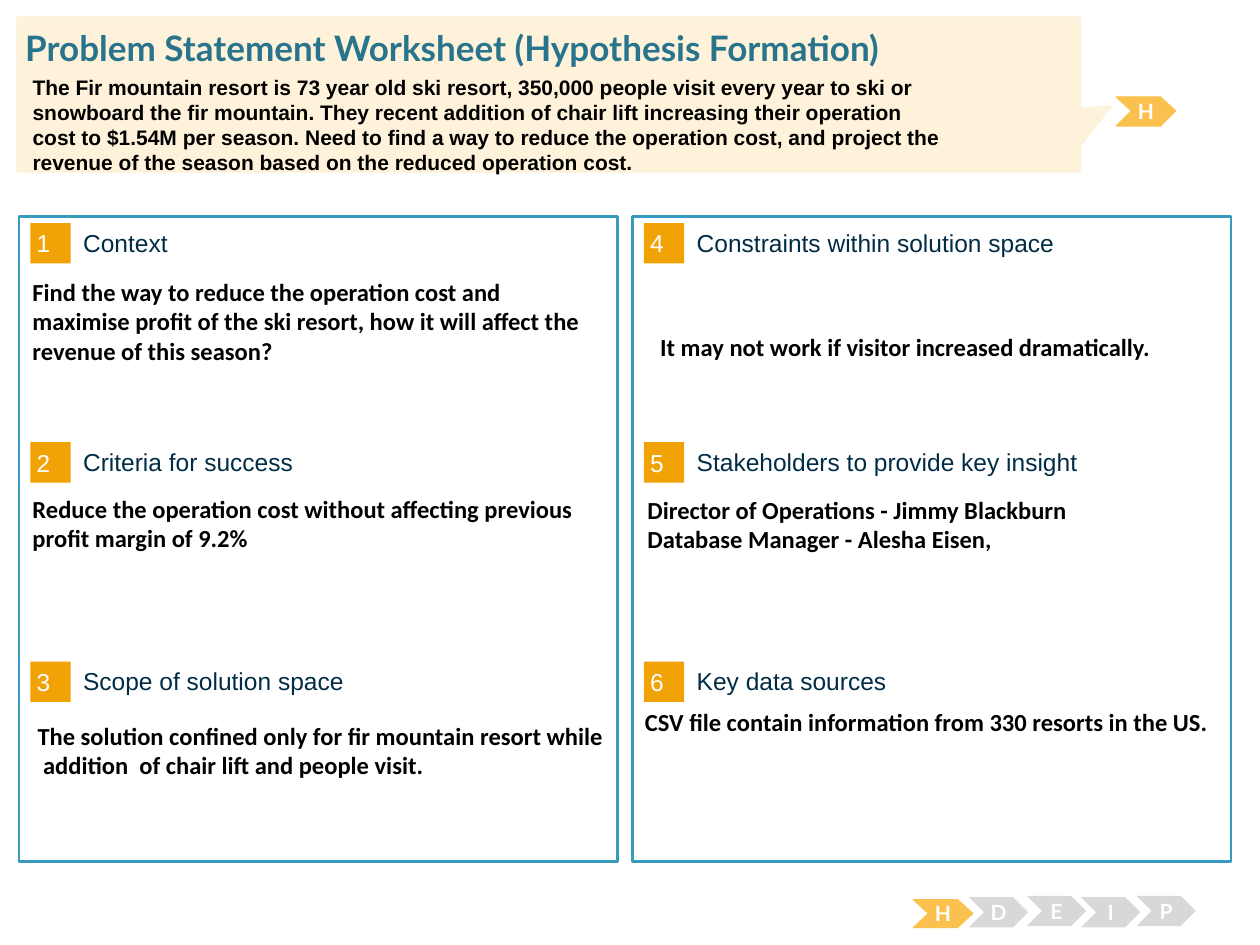
"""Build the problem statement worksheet slide."""
from pptx import Presentation
from pptx.dml.color import RGBColor
from pptx.enum.shapes import MSO_SHAPE
from pptx.enum.text import MSO_ANCHOR, PP_ALIGN
from pptx.util import Pt

PX = 9144
RECTANGLE = MSO_SHAPE.RECTANGLE
CALLOUT = MSO_SHAPE.RECTANGULAR_CALLOUT
TOP, MIDDLE = MSO_ANCHOR.TOP, MSO_ANCHOR.MIDDLE
LEFT, CENTER = PP_ALIGN.LEFT, PP_ALIGN.CENTER

WHITE = RGBColor(0xFF, 0xFF, 0xFF)
BLACK = RGBColor(0x00, 0x00, 0x00)
BLUE = RGBColor(0x37, 0x9B, 0xBD)
TEAL = RGBColor(0x29, 0x74, 0x8D)
NAVY = RGBColor(0x00, 0x2C, 0x46)
ORANGE = RGBColor(0xF1, 0xA2, 0x05)
AMBER = RGBColor(0xFB, 0xC1, 0x4E)
CREAM = RGBColor(0xFE, 0xF2, 0xDA)
GREY = RGBColor(0xD8, 0xD8, 0xD8)

STYLES = {
    "title": {"name": "Lato", "size": Pt(20), "bold": True, "color": TEAL},
    "summary": {"name": "Arial", "size": Pt(12), "bold": True, "color": BLACK},
    "number": {"name": "Arial", "size": Pt(14), "bold": False, "color": WHITE},
    "heading": {"name": "Arial", "size": Pt(14), "bold": False, "color": NAVY},
    "body": {"name": "Calibri", "size": Pt(14), "bold": True, "color": BLACK},
    "step": {"name": "Lato", "size": Pt(12), "bold": True, "color": WHITE},
}

COLUMN_PITCH, ROW_PITCH, ROWS = 487, 174, 3
HEADINGS = [
    "Context", "Criteria for success", "Scope of solution space",
    "Constraints within solution space", "Stakeholders to provide key insight",
    "Key data sources",
]
SUMMARY = [
    "The Fir mountain resort is 73 year old ski resort, 350,000 people visit every year to ski or",
    "snowboard the fir mountain. They recent addition of chair lift increasing their operation",
    "cost to $1.54M per season. Need to find a way to reduce the operation cost, and project the",
    "revenue of the season based on the reduced operation cost.",
]
ANSWERS = [
    ((16, 215, 473, 136), ["Find the way to reduce the operation cost and maximise profit "
                           "of the ski resort, how it will affect the revenue of this season?"]),
    ((16, 387, 473, 154), ["Reduce the operation cost without affecting previous "
                           "profit margin of 9.2%"]),
    ((20, 567, 473, 107), ["The solution confined only for fir mountain resort "
                           "while  addition  of chair lift and people visit."]),
    ((502, 556, 473, 118), ["CSV file contain information from 330 resorts in the US."]),
    ((504, 388, 473, 118), ["Director of Operations - Jimmy Blackburn",
                            "Database Manager - Alesha Eisen,"]),
]
STEPS = [("H", 725, 714, 22, AMBER), ("D", 769, 712, 24, GREY), ("E", 815, 711, 24, GREY),
         ("I", 858, 712, 24, GREY), ("P", 902, 711, 24, GREY), ("H", 886, 77, 23, AMBER)]


class Worksheet:
    """Hold the text styles and the current page."""

    def __init__(self, page, styles):
        self.page = page
        self.styles = styles

    def label(self, shape, lines, style, anchor=TOP, align=LEFT, insets=(10, 5, 10, 5)):
        """Fill a shape with styled paragraphs."""
        frame = shape.text_frame
        left, top, right, bottom = (inset * PX for inset in insets)
        layout = {"word_wrap": True, "vertical_anchor": anchor, "margin_left": left,
                  "margin_top": top, "margin_right": right, "margin_bottom": bottom}
        for name, value in layout.items():
            setattr(frame, name, value)
        for index, line in enumerate(lines):
            para = frame.add_paragraph() if index else frame.paragraphs[0]
            para.alignment = align
            span = para.add_run()
            span.text = line
            for name, value in self.styles[style].items():
                if name == "color":
                    span.font.color.rgb = value
                else:
                    setattr(span.font, name, value)

    def paint(self, shape, fill, line=None, weight=0.75):
        """Give a shape a flat fill and an optional outline."""
        shape.shadow.inherit = False
        shape.fill.solid()
        shape.fill.fore_color.rgb = fill
        if line is None:
            shape.line.fill.background()
        else:
            shape.line.color.rgb = line
            shape.line.width = Pt(weight)

    def block(self, bounds, fill, line=None, weight=0.75, kind=RECTANGLE):
        """Add a preset shape."""
        shape = self.page.shapes.add_shape(kind, *(value * PX for value in bounds))
        self.paint(shape, fill, line, weight)
        return shape

    def text(self, bounds, lines, style, **layout):
        """Add a text box."""
        box = self.page.shapes.add_textbox(*(value * PX for value in bounds))
        self.label(box, lines, style, **layout)

    def chevron(self, letter, left, top, height, fill):
        """Add a lettered process arrow."""
        width, point = 47, 12
        right, bottom, middle = left + width, top + height, top + height / 2
        builder = self.page.shapes.build_freeform(left, top, scale=PX)
        builder.add_line_segments([
            (right - point, top), (right, middle), (right - point, bottom),
            (left, bottom), (left + point, middle)])
        shape = builder.convert_to_shape()
        self.paint(shape, fill, AMBER if fill == AMBER else None)
        self.label(shape, [letter], "step", anchor=MIDDLE, align=CENTER)


def main():
    """Lay out the page and save the deck."""
    deck = Presentation()
    deck.slide_width, deck.slide_height = 1000 * PX, 750 * PX
    sheet = Worksheet(deck.slides.add_slide(deck.slide_layouts[6]), STYLES)

    for column in range(2):
        sheet.block((15 + column * COLUMN_PITCH, 172, 475, 512), WHITE, BLUE, 1.5)
    for index, heading in enumerate(HEADINGS):
        column, row = divmod(index, ROWS)
        left, top = 24 + column * COLUMN_PITCH, 177 + row * ROW_PITCH
        badge = sheet.block((left, top, 32, 32), ORANGE)
        sheet.label(badge, [str(index + 1)], "number", anchor=MIDDLE, insets=(5, 5, 5, 5))
        sheet.text((left + 42, top + 3, 393, 25), [heading], "heading",
                   anchor=MIDDLE, insets=(0, 0, 0, 0))
    for bounds, lines in ANSWERS:
        sheet.text(bounds, lines, "body")
    for step in STEPS:
        sheet.chevron(*step)

    banner = sheet.block((13, 13, 845, 124), CREAM, kind=CALLOUT)
    banner.adjustments[0], banner.adjustments[1] = 0.53, 0.07
    sheet.text((20, 21, 962, 34), ["Problem Statement Worksheet (Hypothesis Formation)"],
               "title", insets=(0, 0, 0, 0))
    sheet.text((16, 54, 939, 101), SUMMARY, "summary")
    constraint = sheet.block((510, 219, 460, 113), WHITE)
    sheet.label(constraint, ["It may not work if visitor increased dramatically."], "body",
                anchor=MIDDLE, insets=(14, 5, 10, 5))

    deck.save("out.pptx")


if __name__ == "__main__":
    main()
